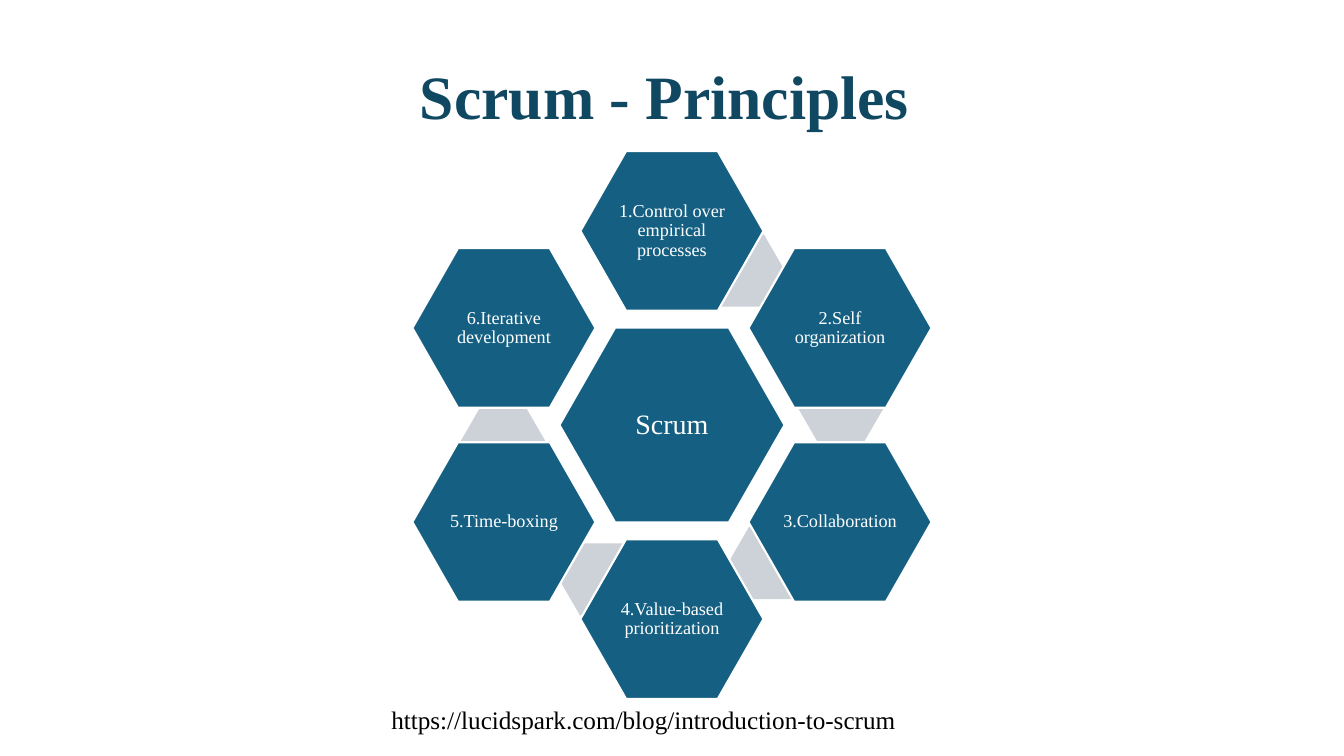
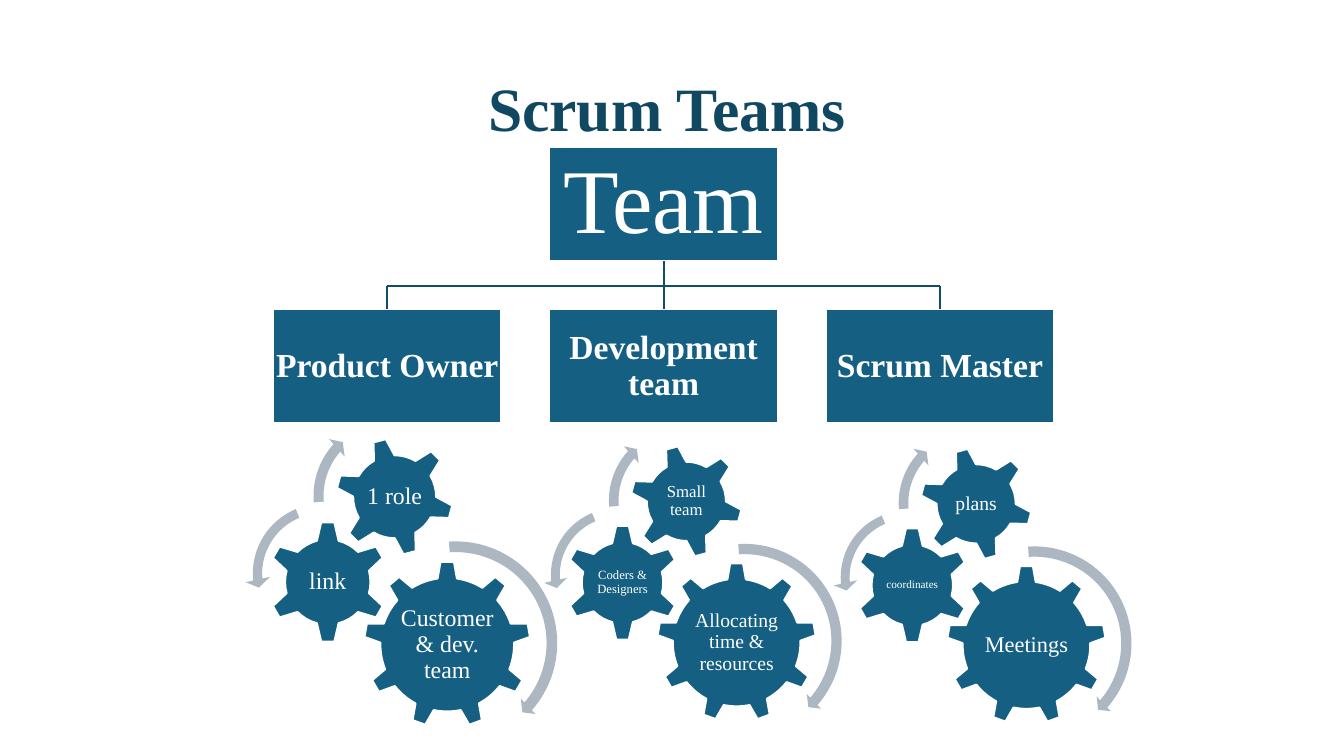
from dataclasses import dataclass
from math import cos, radians, sin

from lxml.etree import SubElement
from pptx import Presentation
from pptx.dml.color import RGBColor
from pptx.enum.shapes import MSO_CONNECTOR, MSO_SHAPE
from pptx.enum.text import MSO_ANCHOR, MSO_AUTO_SIZE, PP_ALIGN
from pptx.oxml.ns import qn
from pptx.shapes.autoshape import Shape
from pptx.shapes.connector import Connector
from pptx.slide import Slide
from pptx.text.text import TextFrame
from pptx.util import Emu, Inches, Pt

SLIDE_WIDTH, SLIDE_HEIGHT = Emu(12192000), Emu(6858000)
COLUMNS = 160
CELL = SLIDE_WIDTH / COLUMNS

FONT = "Times New Roman"
TITLE_BLUE = RGBColor(0x10, 0x48, 0x62)
FILL_BLUE = RGBColor(0x15, 0x60, 0x82)
BRANCH_BLUE = RGBColor(0x11, 0x4D, 0x68)
LINK_GREY = RGBColor(0xCC, 0xD2, 0xD8)
ARROW_GREY = RGBColor(0xAC, 0xB7, 0xC1)
WHITE = RGBColor(0xFF, 0xFF, 0xFF)
BLACK = RGBColor(0x00, 0x00, 0x00)


@dataclass(frozen=True)
class Area:
    column: float
    row: float
    columns: float
    rows: float

    def emu(self) -> tuple[Emu, Emu, Emu, Emu]:
        left, top, width, height = (
            Emu(round(cells * CELL))
            for cells in (self.column, self.row, self.columns, self.rows)
        )
        return left, top, width, height

    def centred(self, columns: float, rows: float) -> "Area":
        return around(
            self.column + self.columns / 2, self.row + self.rows / 2, columns, rows
        )


@dataclass(frozen=True)
class TextStyle:
    size: float
    colour: RGBColor = WHITE
    bold: bool = False
    align: PP_ALIGN = PP_ALIGN.CENTER
    spacing: float = 0.9


@dataclass(frozen=True)
class Part:
    preset: MSO_SHAPE
    x: float
    y: float
    size: float
    turn: float = 0
    adjustments: tuple[float, ...] = ()
    label_width: float = 0
    label_height: float = 0


@dataclass(frozen=True)
class GearCluster:
    column: float
    row: float
    size: float
    labels: tuple[tuple[str, float], ...]


GEARS = (
    Part(MSO_SHAPE.GEAR_9, 0, 0, 1, label_width=0.6, label_height=0.51),
    Part(MSO_SHAPE.GEAR_6, -0.58, -0.24, 0.73, label_width=0.36, label_height=0.36),
    Part(MSO_SHAPE.GEAR_6, -0.17, -0.74, 0.71, -15, label_width=0.4, label_height=0.4),
)
ARROWS = (
    Part(MSO_SHAPE.CIRCULAR_ARROW, -0.09, -0.15, 1.28,
         adjustments=(0.05, 2.99, 24.65, 159.77, 0.05)),
    Part(MSO_SHAPE.LEFT_CIRCULAR_ARROW, -0.71, -0.39, 0.93,
         adjustments=(0.06, 4.3, 104.89, 148.38, 0.08)),
    Part(MSO_SHAPE.CIRCULAR_ARROW, -0.34, -0.89, 1,
         adjustments=(0.06, 3.94, 133.14, 105.08, 0.07)),
)
CLUSTERS = (
    GearCluster(43.3, 66.8, 19.9,
                (("Customer & dev. team", 17), ("link", 17), ("1 role", 17))),
    GearCluster(78.2, 67, 19,
                (("Allocating time & resources", 14), ("Coders & Designers", 9),
                 ("Small team", 12))),
    GearCluster(112.7, 67.3, 19,
                (("Meetings", 16), ("coordinates", 8), ("plans", 14))),
)
PRINCIPLES = (
    "1.Control over empirical processes",
    "2.Self organization",
    "3.Collaboration",
    "4.Value-based prioritization",
    "5.Time-boxing",
    "6.Iterative development",
)
ROLES = ("Product Owner", "Development team", "Scrum Master")


def around(x: float, y: float, columns: float, rows: float) -> Area:
    return Area(x - columns / 2, y - rows / 2, columns, rows)


def write(frame: TextFrame, text: str, style: TextStyle, inset: float) -> None:
    frame.text = text
    frame.word_wrap = True
    frame.auto_size = MSO_AUTO_SIZE.NONE
    frame.vertical_anchor = MSO_ANCHOR.MIDDLE
    frame.margin_left = frame.margin_right = Inches(inset)
    frame.margin_top = frame.margin_bottom = Inches(min(inset, 0.05))
    paragraph = frame.paragraphs[0]
    paragraph.alignment = style.align
    paragraph.line_spacing = style.spacing
    font = paragraph.runs[0].font
    font.name = FONT
    font.size = Pt(style.size)
    font.bold = style.bold
    font.color.rgb = style.colour


def titled_slide(deck: Presentation, title: str, area: Area) -> Slide:
    slide = deck.slides.add_slide(deck.slide_layouts[5])
    heading = slide.shapes.title
    heading.left, heading.top, heading.width, heading.height = area.emu()
    style = TextStyle(44, TITLE_BLUE, bold=True, align=PP_ALIGN.LEFT)
    write(heading.text_frame, title, style, 0.1)
    return slide


def draw(slide: Slide, preset: MSO_SHAPE, area: Area, fill: RGBColor,
         outlined: bool = True, adjustments: tuple[float, ...] = ()) -> Shape:
    shape = slide.shapes.add_shape(preset, *area.emu())
    shape.shadow.inherit = False
    shape.fill.solid()
    shape.fill.fore_color.rgb = fill
    if outlined:
        shape.line.color.rgb = WHITE
        shape.line.width = Pt(1.5)
    else:
        shape.line.fill.background()
    for index, value in enumerate(adjustments):
        shape.adjustments[index] = value
    return shape


def hexagon(slide: Slide, area: Area, text: str, size: float) -> None:
    cell = draw(slide, MSO_SHAPE.HEXAGON, area, FILL_BLUE, adjustments=(0.286,))
    write(cell.text_frame, text, TextStyle(size), 0.02)


def role_box(slide: Slide, x: float, row: float, text: str, style: TextStyle) -> Shape:
    box = draw(slide, MSO_SHAPE.RECTANGLE, Area(x - 13.6, row, 27.2, 13.6), FILL_BLUE)
    write(box.text_frame, text, style, 0.02)
    return box


def branch(slide: Slide, x1: float, y1: float, x2: float, y2: float) -> Connector:
    ends = (Emu(round(cells * CELL)) for cells in (x1, y1, x2, y2))
    line = slide.shapes.add_connector(MSO_CONNECTOR.STRAIGHT, *ends)
    line.line.color.rgb = BRANCH_BLUE
    line.line.width = Pt(1.5)
    SubElement(line._element.spPr, qn("a:effectLst"))
    return line


def part_area(cluster: GearCluster, part: Part) -> Area:
    return Area(
        cluster.column + part.x * cluster.size,
        cluster.row + part.y * cluster.size,
        part.size * cluster.size,
        part.size * cluster.size,
    )


def gear_cluster(slide: Slide, cluster: GearCluster) -> None:
    for part, (text, size) in zip(GEARS, cluster.labels):
        area = part_area(cluster, part)
        gear = draw(slide, part.preset, area, FILL_BLUE)
        gear.rotation = part.turn
        label_area = area.centred(
            part.label_width * cluster.size, part.label_height * cluster.size
        )
        label = slide.shapes.add_textbox(*label_area.emu())
        write(label.text_frame, text, TextStyle(size), 0.01)
    for part in ARROWS:
        draw(slide, part.preset, part_area(cluster, part), ARROW_GREY,
             outlined=False, adjustments=part.adjustments)


def principles_slide(deck: Presentation) -> None:
    slide = titled_slide(deck, "Scrum - Principles", Area(48.8, 3.2, 62.4, 17.4))
    centre_x, centre_y = 80, 50.6
    ring_radius, link_radius, link_angle = 23.1, 20.2, 24.5
    step = 360 / len(PRINCIPLES)

    def on_ring(angle: float, radius: float, columns: float, rows: float) -> Area:
        turn = radians(angle)
        return around(centre_x + radius * sin(turn), centre_y - radius * cos(turn),
                      columns, rows)

    hexagon(slide, around(centre_x, centre_y, 26.8, 23.2), "Scrum", 20)
    for index in range(len(PRINCIPLES) - 1):
        link_area = on_ring(link_angle + index * step, link_radius, 10.1, 8.6)
        draw(slide, MSO_SHAPE.HEXAGON, link_area, LINK_GREY,
             outlined=False, adjustments=(0.289,))
    for index, principle in enumerate(PRINCIPLES):
        hexagon(slide, on_ring(index * step, ring_radius, 21.8, 19), principle, 13)

    source = slide.shapes.add_textbox(*Area(45.4, 83.2, 63.1, 4.8).emu())
    style = TextStyle(18, BLACK, align=PP_ALIGN.LEFT, spacing=1.0)
    write(source.text_frame, "https://lucidspark.com/blog/introduction-to-scrum",
          style, 0.1)
    source.text_frame.word_wrap = False
    source.text_frame.auto_size = MSO_AUTO_SIZE.SHAPE_TO_FIT_TEXT
    source.text_frame.vertical_anchor = MSO_ANCHOR.TOP


def teams_slide(deck: Presentation) -> None:
    slide = titled_slide(deck, "Scrum Teams", Area(56.9, 4.6, 46.2, 17.4))
    team_x, team_row, role_row, bus_row, pitch = 79, 17.5, 36.8, 34, 32.9
    team = role_box(slide, team_x, team_row, "Team", TextStyle(65))
    role_style = TextStyle(24, bold=True)
    for index, role in enumerate(ROLES):
        x = team_x + (index - 1) * pitch
        box = role_box(slide, x, role_row, role, role_style)
        drop = branch(slide, x, bus_row, x, role_row)
        if x == team_x:
            drop.begin_connect(team, 2)
        drop.end_connect(box, 0)
    branch(slide, team_x - pitch, bus_row, team_x + pitch, bus_row)
    for cluster in CLUSTERS:
        gear_cluster(slide, cluster)


def main() -> None:
    deck = Presentation()
    deck.slide_width, deck.slide_height = SLIDE_WIDTH, SLIDE_HEIGHT
    principles_slide(deck)
    teams_slide(deck)
    deck.save("out.pptx")


if __name__ == "__main__":
    main()
